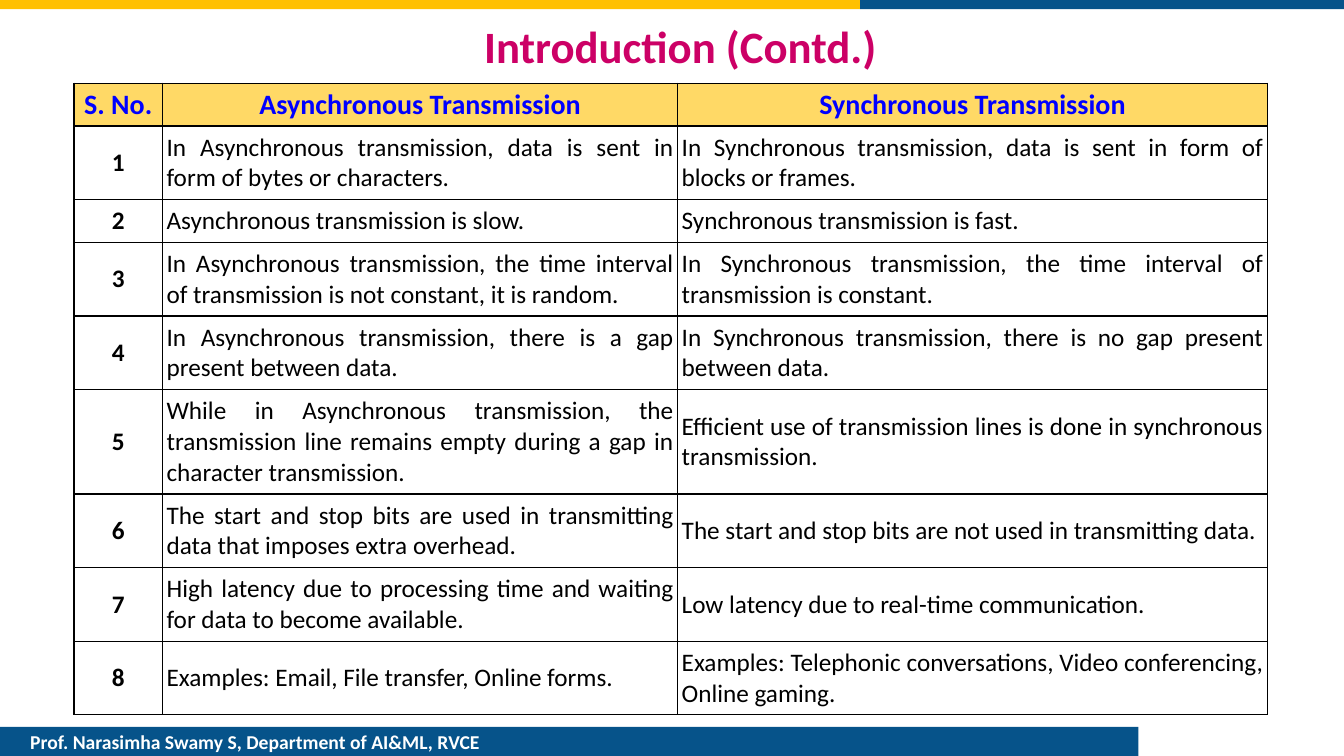
from lxml import etree
from pptx import Presentation
from pptx.dml.color import RGBColor
from pptx.enum.shapes import MSO_SHAPE
from pptx.enum.text import MSO_ANCHOR, PP_ALIGN
from pptx.oxml.ns import qn
from pptx.util import Inches, Pt

RECTANGLE = MSO_SHAPE.RECTANGLE
MIDDLE = MSO_ANCHOR.MIDDLE
LEFT, CENTER, JUSTIFY = PP_ALIGN.LEFT, PP_ALIGN.CENTER, PP_ALIGN.JUSTIFY

COLORS = {
    "gold": "FFC000", "blue": "06538A", "magenta": "CC0066", "header": "FFD966",
    "heading": "0000FF", "black": "000000", "white": "FFFFFF",
}

# Text formats
TITLE = {"size": 32, "bold": True, "color": "magenta", "align": CENTER, "spacing": 0.9}
FOOTER = {"size": 14, "bold": True, "color": "white", "align": LEFT}
HEADING = {"size": 20, "bold": True, "color": "heading", "align": CENTER}
NUMBER = {"size": 18, "bold": True, "color": "black", "align": CENTER}
BODY = {"size": 18, "bold": False, "color": "black", "align": JUSTIFY}

# Table content: asynchronous text, synchronous text, lines in the taller cell
HEADINGS = ("S. No.", "Asynchronous Transmission", "Synchronous Transmission")
COMPARISON = [
    ("In Asynchronous transmission, data is sent in form of bytes or characters.",
     "In Synchronous transmission, data is sent in form of blocks or frames.", 2),
    ("Asynchronous transmission is slow.", "Synchronous transmission is fast.", 1),
    ("In Asynchronous transmission, the time interval of transmission is not constant, "
     "it is random.",
     "In Synchronous transmission, the time interval of transmission is constant.", 2),
    ("In Asynchronous transmission, there is a gap present between data.",
     "In Synchronous transmission, there is no gap present between data.", 2),
    ("While in Asynchronous transmission, the transmission line remains empty during "
     "a gap in character transmission.",
     "Efficient use of transmission lines is done in synchronous transmission.", 3),
    ("The start and stop bits are used in transmitting data that imposes extra overhead.",
     "The start and stop bits are not used in transmitting data.", 2),
    ("High latency due to processing time and waiting for data to become available.",
     "Low latency due to real-time communication.", 2),
    ("Examples: Email, File transfer, Online forms.",
     "Examples: Telephonic conversations, Video conferencing, Online gaming.", 2),
]


class SlideBuilder:
    """Places elements on a grid of 100 columns by 100 rows."""

    font_name = "Calibri"

    def __init__(self, presentation):
        self.column = presentation.slide_width / 100
        self.row = presentation.slide_height / 100
        self.slide = presentation.slides.add_slide(presentation.slide_layouts[6])

    def area(self, left, top, width, height):
        return (round(left * self.column), round(top * self.row),
                round(width * self.column), round(height * self.row))

    def fill(self, target, color):
        target.fill.solid()
        target.fill.fore_color.rgb = RGBColor.from_string(COLORS[color])

    def set_text(self, frame, text, style):
        frame.word_wrap = True
        paragraph = frame.paragraphs[0]
        paragraph.text = text
        paragraph.alignment = style["align"]
        paragraph.line_spacing = style.get("spacing", 1.0)
        font_values = {"name": self.font_name, "size": Pt(style["size"]),
                       "bold": style["bold"]}
        for name, value in font_values.items():
            setattr(paragraph.font, name, value)
        paragraph.font.color.rgb = RGBColor.from_string(COLORS[style["color"]])

    def bar(self, place, color):
        shape = self.slide.shapes.add_shape(RECTANGLE, *self.area(*place))
        shape.shadow.inherit = False
        self.fill(shape, color)
        shape.line.fill.background()
        return shape

    def label(self, shape, text, style, indent):
        frame = shape.text_frame
        self.set_text(frame, text, style)
        frame.vertical_anchor = MIDDLE
        frame.margin_left = round(indent * self.column)
        frame.margin_top = frame.margin_bottom = 0

    def text(self, place, text, style):
        box = self.slide.shapes.add_textbox(*self.area(*place))
        self.set_text(box.text_frame, text, style)
        box.text_frame.vertical_anchor = MIDDLE

    def border(self, cell):
        properties = cell._tc.get_or_add_tcPr()
        for position, side in enumerate(("lnL", "lnR", "lnT", "lnB")):
            line = etree.Element(qn(f"a:{side}"), w=str(Pt(1)))
            solid = etree.SubElement(line, qn("a:solidFill"))
            etree.SubElement(solid, qn("a:srgbClr"), val=COLORS["black"])
            properties.insert(position, line)

    def cell(self, cell, text, style, color, side, end):
        self.set_text(cell.text_frame, text, style)
        values = {"vertical_anchor": MIDDLE,
                  "margin_left": Inches(side), "margin_right": Inches(side),
                  "margin_top": Inches(end), "margin_bottom": Inches(end)}
        for name, value in values.items():
            setattr(cell, name, value)
        self.fill(cell, color)
        self.border(cell)

    def table(self, left, top, widths, heights):
        place = self.area(left, top, sum(widths), sum(heights))
        table = self.slide.shapes.add_table(len(heights), len(widths), *place).table
        table.first_row = table.horz_banding = False
        for column, width in zip(table.columns, widths):
            column.width = round(width * self.column)
        for row, height in zip(table.rows, heights):
            row.height = round(height * self.row)
        return table


def main():
    presentation = Presentation()
    presentation.slide_width = Inches(13.33)
    presentation.slide_height = Inches(7.5)
    builder = SlideBuilder(presentation)

    # Top bars and footer
    builder.bar((0, 0, 64, 1.2), "gold")
    builder.bar((64, 0, 36, 1.2), "blue")
    footer = builder.bar((0, 96.13, 84.7, 3.87), "blue")
    builder.label(footer, "Prof. Narasimha Swamy S, Department of AI&ML, RVCE", FOOTER, 2.25)

    # Title
    builder.text((6.9, 2, 87.47, 9.07), "Introduction (Contd.)", TITLE)

    # Comparison table: each row is as tall as its lines of text plus padding
    line_counts = [1] + [lines for _, _, lines in COMPARISON]
    heights = [4.07 * lines + 1.6 for lines in line_counts]
    table = builder.table(5.5, 10.99, (6.6, 38.33, 43.88), heights)
    for column, heading in enumerate(HEADINGS):
        builder.cell(table.cell(0, column), heading, HEADING, "header", 0.04, 0.04)
    for number, (asynchronous, synchronous, _) in enumerate(COMPARISON, 1):
        builder.cell(table.cell(number, 0), str(number), NUMBER, "white", 0.03, 0.03)
        for column, sentence in enumerate((asynchronous, synchronous), 1):
            builder.cell(table.cell(number, column), sentence, BODY, "white", 0.04, 0.06)

    presentation.save("out.pptx")


if __name__ == "__main__":
    main()
